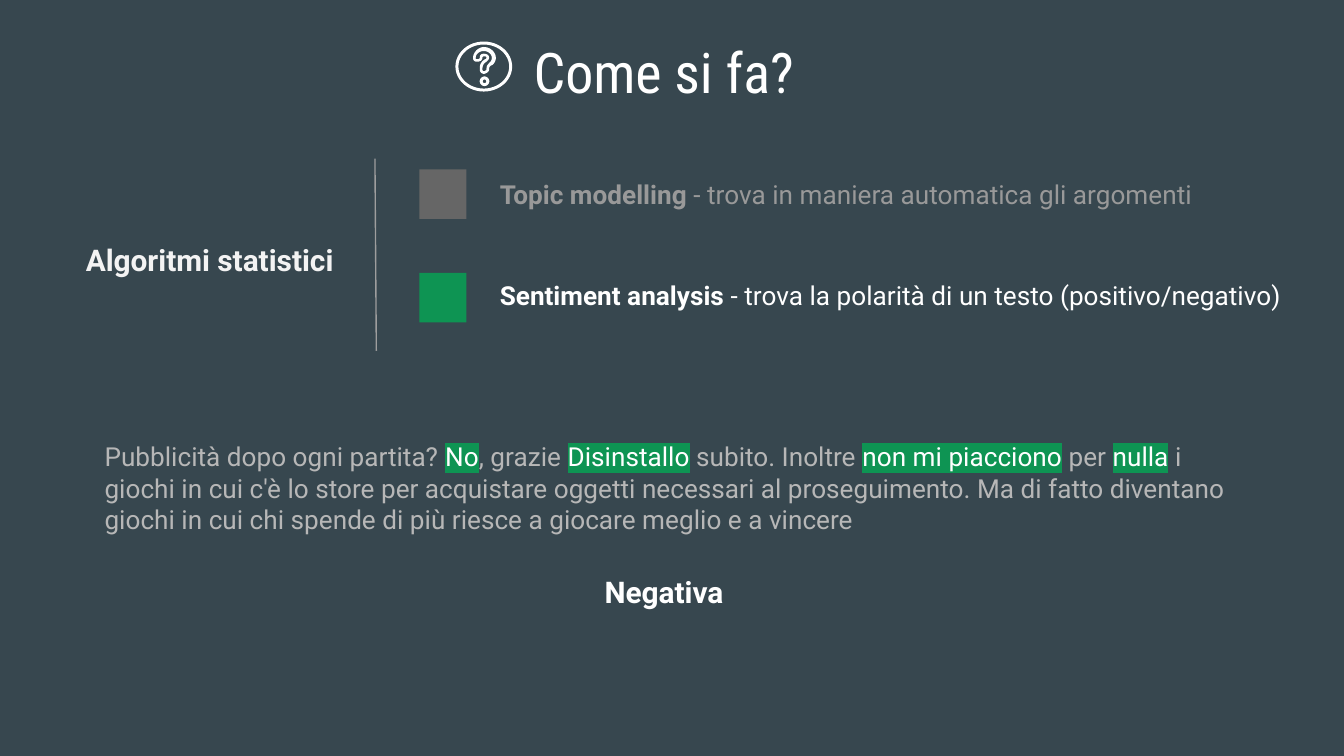
from lxml import etree
from pptx import Presentation
from pptx.dml.color import RGBColor
from pptx.enum.shapes import MSO_CONNECTOR, MSO_SHAPE
from pptx.enum.text import MSO_ANCHOR, MSO_AUTO_SIZE, PP_ALIGN
from pptx.oxml.ns import qn
from pptx.util import Inches, Pt

BACKGROUND, WHITE, GREEN = "37474F", "FFFFFF", "0E9453"
BODY_FONT, TITLE_FONT = "Roboto", "Roboto Condensed"

# Question mark contours, relative to the icon box: a start point, then
# Bezier curves (three points) and straight lines (one point)
QUESTION_CONTOURS = [
    [(0.21, 0.07),
     [(0.24, 0.07), (0.27, 0.09), (0.27, 0.12)],
     [(0.27, 0.14), (0.26, 0.15), (0.25, 0.16)],
     [(0.24, 0.17), (0.23, 0.18), (0.23, 0.20)],
     [(0.23, 0.21)],
     [(0.23, 0.21), (0.22, 0.22), (0.21, 0.22)],
     [(0.20, 0.22), (0.20, 0.21), (0.20, 0.21)],
     [(0.20, 0.20)],
     [(0.20, 0.18), (0.21, 0.16), (0.23, 0.15)],
     [(0.24, 0.14), (0.25, 0.13), (0.25, 0.12)],
     [(0.25, 0.10), (0.23, 0.09), (0.21, 0.09)],
     [(0.19, 0.09), (0.18, 0.10), (0.18, 0.12)],
     [(0.18, 0.13), (0.17, 0.13), (0.16, 0.13)],
     [(0.15, 0.13), (0.15, 0.13), (0.15, 0.12)],
     [(0.15, 0.09), (0.18, 0.07), (0.21, 0.07)]],
    [(0.21, 0.04),
     [(0.17, 0.04), (0.13, 0.08), (0.13, 0.12)],
     [(0.13, 0.14), (0.14, 0.15), (0.16, 0.15)],
     [(0.18, 0.15), (0.20, 0.14), (0.20, 0.12)],
     [(0.20, 0.11), (0.21, 0.11), (0.21, 0.11)],
     [(0.22, 0.11), (0.23, 0.11), (0.23, 0.12)],
     [(0.23, 0.12), (0.23, 0.13), (0.22, 0.13)],
     [(0.19, 0.15), (0.18, 0.17), (0.18, 0.20)],
     [(0.18, 0.21)],
     [(0.18, 0.22), (0.19, 0.24), (0.21, 0.24)],
     [(0.23, 0.24), (0.25, 0.22), (0.25, 0.21)],
     [(0.25, 0.20)],
     [(0.25, 0.19), (0.26, 0.18), (0.26, 0.18)],
     [(0.29, 0.17), (0.30, 0.14), (0.30, 0.12)],
     [(0.30, 0.08), (0.26, 0.04), (0.21, 0.04)]],
]


def color(value):
    return RGBColor.from_string(value)


def highlight(run, value):
    fill = run.font._element.find(qn("a:solidFill"))
    mark = etree.Element(qn("a:highlight"))
    etree.SubElement(mark, qn("a:srgbClr"), val=value)
    fill.addnext(mark)


def write_text(shape, runs, size, font_name=BODY_FONT):
    """Each run is (text, colour, bold, highlight colour or None)."""
    frame = shape.text_frame
    frame.word_wrap = True
    frame.auto_size = MSO_AUTO_SIZE.NONE
    frame.vertical_anchor = MSO_ANCHOR.TOP
    frame.margin_left = frame.margin_right = Inches(0.1)
    frame.margin_top = frame.margin_bottom = Inches(0.1)
    paragraph = frame.paragraphs[0]
    paragraph.alignment = PP_ALIGN.LEFT
    for text, text_color, bold, mark in runs:
        run = paragraph.add_run()
        run.text = text
        run.font.size = Pt(size)
        run.font.name = font_name
        run.font.bold = bold
        run.font.color.rgb = color(text_color)
        if mark:
            highlight(run, mark)


def add_text(slide, left, top, width, height, runs, size):
    box = slide.shapes.add_textbox(*map(Inches, (left, top, width, height)))
    write_text(box, runs, size)


def curve_points(start, segment, steps=6):
    if len(segment) == 1:
        return segment
    first, second, end = segment
    points = []
    for step in range(1, steps + 1):
        t = step / steps
        u = 1 - t
        points.append(tuple(
            u**3 * a + 3 * u * u * t * b + 3 * u * t * t * c + t**3 * d
            for a, b, c, d in zip(start, first, second, end)))
    return points


def add_icon(slide, left, top):
    # Outer ring and the dot of the question mark
    for x, y, width, height in [(0.01, 0.01, 0.4, 0.35),
                                (0.19, 0.27, 0.05, 0.05)]:
        ring = slide.shapes.add_shape(
            MSO_SHAPE.OVAL, Inches(left + x), Inches(top + y),
            Inches(width), Inches(height))
        ring.shadow.inherit = False
        ring.fill.background()
        ring.line.color.rgb = color(WHITE)
        ring.line.width = Pt(1.6)

    # Hook of the question mark
    builder = None
    for start, *segments in QUESTION_CONTOURS:
        points = [start]
        for segment in segments:
            points += curve_points(points[-1], segment)
        points = [(Inches(left + x), Inches(top + y)) for x, y in points]
        if builder is None:
            builder = slide.shapes.build_freeform(*points[0])
        else:
            builder.move_to(*points[0])
        builder.add_line_segments(points[1:], close=True)
    hook = builder.convert_to_shape()
    hook.shadow.inherit = False
    hook.fill.solid()
    hook.fill.fore_color.rgb = color(WHITE)
    hook.line.fill.background()


def add_header(slide, left, top):
    title = slide.shapes.title
    title.left, title.top = Inches(left + 0.48), Inches(top)
    title.width, title.height = Inches(2.62), Inches(0.63)
    write_text(title, [("Come si fa?", WHITE, False, None)], 30, TITLE_FONT)
    add_icon(slide, left, top + 0.13)


def add_algorithms(slide, left, top):
    # Group label and divider
    add_text(slide, left, top + 0.52, 2.43, 0.63,
             [("Algoritmi statistici", "F3F3F3", True, None)], 16)
    divider = slide.shapes.add_connector(
        MSO_CONNECTOR.STRAIGHT, Inches(left + 2.25), Inches(top),
        Inches(left + 2.26), Inches(top + 1.43))
    divider.line.color.rgb = color("9E9E9E")
    divider.line.width = Pt(0.75)
    etree.SubElement(divider._element.spPr, qn("a:effectLst"))

    # One marker and description for each algorithm
    rows = [
        ("Topic modelling", " - trova in maniera automatica gli argomenti",
         "666666", "999999", 0.05, 5.38, 0.57),
        ("Sentiment analysis",
         " - trova la polarità di un testo (positivo/negativo)",
         GREEN, WHITE, 0.8, 6.51, 0.63),
    ]
    for index, row in enumerate(rows):
        name, description, marker_color, text_color, *text_box = row
        text_top, width, height = text_box
        marker = slide.shapes.add_shape(
            MSO_SHAPE.RECTANGLE, Inches(left + 2.58),
            Inches(top + 0.08 + index * 0.77), Inches(0.35), Inches(0.37))
        marker.shadow.inherit = False
        marker.fill.solid()
        marker.fill.fore_color.rgb = color(marker_color)
        marker.line.fill.background()
        add_text(slide, left + 3.08, top + text_top, width, height,
                 [(name, text_color, True, None),
                  (description, text_color, False, None)], 14)


def add_review(slide, left, top):
    # Odd parts are the words that carry the sentiment
    parts = [
        "Pubblicità dopo ogni partita? ", "No", ", grazie ", "Disinstallo",
        " subito. Inoltre ", "non mi piacciono", " per ", "nulla",
        " i giochi in cui c'è lo store per acquistare oggetti necessari al "
        "proseguimento. Ma di fatto diventano giochi in cui chi spende di "
        "più riesce a giocare meglio e a vincere",
    ]
    runs = [(text, WHITE, False, GREEN) if index % 2
            else (text, "B7B7B7", False, None)
            for index, text in enumerate(parts)]
    add_text(slide, left, top, 8.56, 1.31, runs, 14)
    # Verdict
    add_text(slide, left + 3.72, top + 0.99, 1.21, 0.57,
             [("Negativa", WHITE, True, None)], 16)


def main():
    presentation = Presentation()
    # Widescreen, 16:9
    presentation.slide_width = Inches(10)
    presentation.slide_height = Inches(10 * 9 / 16)
    slide = presentation.slides.add_slide(presentation.slide_layouts[5])
    slide.background.fill.solid()
    slide.background.fill.fore_color.rgb = color(BACKGROUND)
    add_header(slide, 3.39, 0.18)
    add_algorithms(slide, 0.54, 1.18)
    add_review(slide, 0.68, 3.18)
    presentation.save("out.pptx")


if __name__ == "__main__":
    main()
